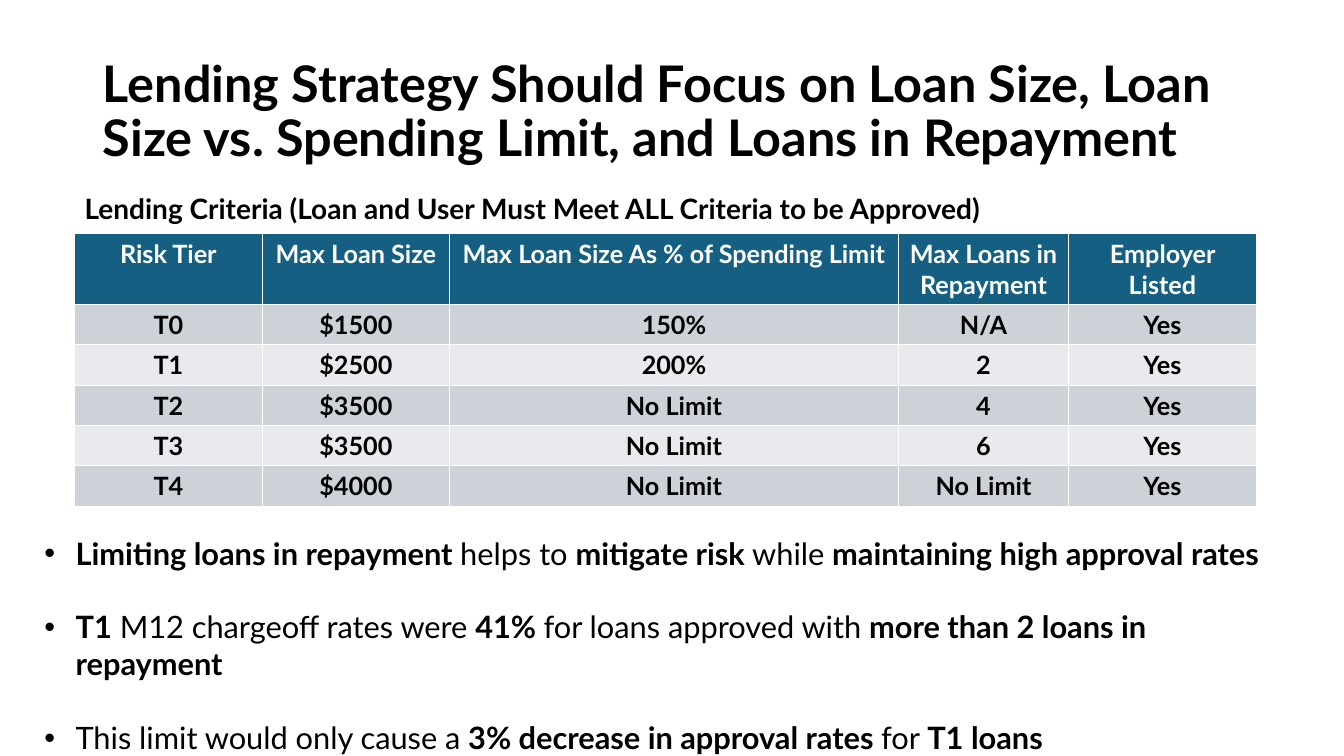
from pptx import Presentation
from pptx.dml.color import RGBColor
from pptx.enum import text
from pptx.util import Inches, Pt

TITLE = ("Lending Strategy Should Focus on Loan Size, Loan Size vs. "
         "Spending Limit, and Loans in Repayment")
CAPTION = "Lending Criteria (Loan and User Must Meet ALL Criteria to be Approved)"
CRITERIA = [
    ("Risk Tier", "Max Loan Size", "Max Loan Size As % of Spending Limit",
     "Max Loans in Repayment", "Employer Listed"),
    ("T0", "$1500", "150%", "N/A", "Yes"),
    ("T1", "$2500", "200%", "2", "Yes"),
    ("T2", "$3500", "No Limit", "4", "Yes"),
    ("T3", "$3500", "No Limit", "6", "Yes"),
    ("T4", "$4000", "No Limit", "No Limit", "Yes"),
]
BULLETS = [
    [("Limiting loans in repayment ", True), ("helps to ", False),
     ("mitigate risk", True), (" while ", False),
     ("maintaining high approval rates", True)],
    [("T1", True), (" M12 chargeoff rates were ", False), ("41% ", True),
     ("for loans approved with ", False),
     ("more than 2 loans in repayment", True)],
    [("This limit would only cause a ", False),
     ("3% decrease in approval rates ", True), ("for ", False),
     ("T1 loans", True)],
]
COL_WIDTHS = (1.86, 1.86, 4.45, 1.69, 1.86)
HEADER_HEIGHT, ROW_HEIGHT = 0.65, 0.39
BULLET_INDENT = Inches(0.31)

BLACK = RGBColor(0x00, 0x00, 0x00)
WHITE = RGBColor(0xFF, 0xFF, 0xFF)
TEAL = RGBColor(0x15, 0x60, 0x82)
BANDS = (RGBColor(0xE8, 0xEA, 0xED), RGBColor(0xCC, 0xD2, 0xD8))


def place(shape, left, top, width, height):
    """Set the position and size of a shape in inches."""
    box = {"left": left, "top": top, "width": width, "height": height}
    for name, value in box.items():
        setattr(shape, name, Inches(value))


def add_run(p, words, size, color=BLACK, bold=True):
    """Append a formatted run to a paragraph."""
    r = p.add_run()
    r.text = words
    font = {"name": "Lato", "size": Pt(size), "bold": bold}
    for name, value in font.items():
        setattr(r.font, name, value)
    r.font.color.rgb = color


def add_title(s):
    """Fill the title placeholder."""
    title = s.shapes.title
    place(title, 0.92, 0.4, 11.5, 1.45)
    tf = title.text_frame
    tf.auto_size = text.MSO_AUTO_SIZE.NONE
    tf.vertical_anchor = text.MSO_ANCHOR.MIDDLE
    p = tf.paragraphs[0]
    p.alignment = text.PP_ALIGN.LEFT
    p.line_spacing = 0.9
    add_run(p, TITLE, 36)


def add_criteria_table(s):
    """Add the lending criteria with a header and banded rows."""
    heights = [HEADER_HEIGHT] + [ROW_HEIGHT] * (len(CRITERIA) - 1)
    frame = s.shapes.add_table(
        len(CRITERIA), len(COL_WIDTHS), Inches(0.74), Inches(2.32),
        Inches(sum(COL_WIDTHS)), Inches(sum(heights)))
    table = frame.table
    for column, width in zip(table.columns, COL_WIDTHS):
        column.width = Inches(width)
    for i, (values, height) in enumerate(zip(CRITERIA, heights)):
        table.rows[i].height = Inches(height)
        for j, value in enumerate(values):
            cell = table.cell(i, j)
            cell.fill.solid()
            cell.fill.fore_color.rgb = BANDS[i % 2] if i else TEAL
            p = cell.text_frame.paragraphs[0]
            p.alignment = text.PP_ALIGN.CENTER
            add_run(p, value, 18, BLACK if i else WHITE)


def add_bullets(s):
    """Fill the body placeholder with the takeaways."""
    body = s.placeholders[1]
    place(body, 0.34, 5.25, 12.52, 2.32)
    tf = body.text_frame
    tf.auto_size = text.MSO_AUTO_SIZE.NONE
    for i, runs in enumerate(BULLETS):
        p = tf.add_paragraph() if i else tf.paragraphs[0]
        p.space_before = Pt(26.4 if i else 0)
        pPr = p._p.get_or_add_pPr()
        pPr.set("marL", str(BULLET_INDENT))
        pPr.set("indent", str(-BULLET_INDENT))
        for words, bold in runs:
            add_run(p, words, 22, bold=bold)


def add_caption(s):
    """Add the line above the table."""
    caption = s.shapes.add_textbox(
        Inches(0.74), Inches(1.85), Inches(9.19), Inches(0.44))
    tf = caption.text_frame
    tf.word_wrap = False
    add_run(tf.paragraphs[0], CAPTION, 20)


def main():
    """Build and save the lending strategy slide."""
    prs = Presentation()
    prs.slide_width, prs.slide_height = Inches(13.33), Inches(7.5)
    s = prs.slides.add_slide(prs.slide_layouts[1])
    add_title(s)
    add_criteria_table(s)
    add_bullets(s)
    add_caption(s)
    prs.save("out.pptx")


if __name__ == "__main__":
    main()
